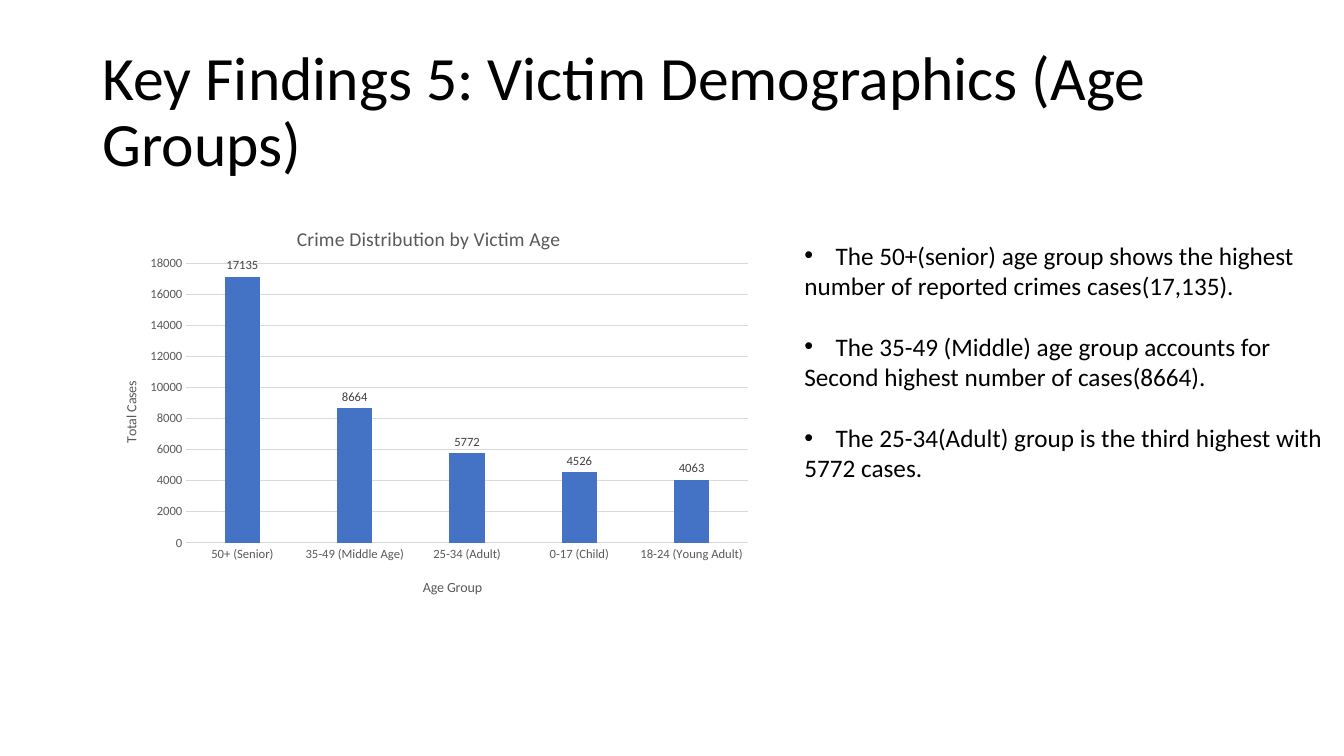
from dataclasses import dataclass, field

from lxml.etree import SubElement as add_sub
from pptx import Presentation
from pptx.chart.data import CategoryChartData as ChartData
from pptx.dml.color import RGBColor
from pptx.enum.chart import XL_CHART_TYPE as Kind
from pptx.enum.chart import XL_LABEL_POSITION as Spot
from pptx.enum.chart import XL_TICK_MARK as Tick
from pptx.enum.text import MSO_ANCHOR as Anchor
from pptx.oxml import parse_xml
from pptx.oxml.ns import nsdecls, qn
from pptx.util import Inches, Pt

BLACK = RGBColor(0x00, 0x00, 0x00)
BLUE = RGBColor(0x44, 0x72, 0xC4)
GRAY = RGBColor(0x59, 0x59, 0x59)
DARK = RGBColor(0x40, 0x40, 0x40)
PALE = RGBColor(0xD9, 0xD9, 0xD9)
FACE = "Calibri"


@dataclass
class Box:
    left: float
    top: float
    width: float
    height: float

    def rect(self) -> list:
        return [Inches(n) for n in (self.left, self.top, self.width, self.height)]


@dataclass
class Line:
    text: str
    size: float
    bullet: bool = False
    form: dict = field(default_factory=dict)


@dataclass
class Label:
    owner: object
    text: str
    size: float
    left: float
    top: float


def set_all(item: object, form: dict) -> None:
    for key, value in form.items():
        setattr(item, key, value)


def set_font(font: object, size: float, color: RGBColor) -> None:
    set_all(font, {"name": FACE, "size": Pt(size), "bold": False})
    font.color.rgb = color


def add_text(slide: object, box: Box, lines: list[Line], form: dict) -> None:
    frame = slide.shapes.add_textbox(*box.rect()).text_frame
    set_all(frame, form)
    for i, line in enumerate(lines):
        para = frame.add_paragraph() if i else frame.paragraphs[0]
        set_all(para, line.form)
        run = para.add_run()
        run.text = line.text
        set_font(run.font, line.size, BLACK)
        if line.bullet:
            props = para._p.get_or_add_pPr()
            hang = Inches(0.31)
            props.set("marL", str(hang))
            props.set("indent", str(-hang))
            add_sub(props, qn("a:buFont")).set("typeface", "Arial")
            add_sub(props, qn("a:buChar")).set("char", "•")


def make_layout(sizes: dict, inner: bool = False) -> object:
    target = '<c:layoutTarget val="inner"/>' if inner else ""
    modes = "".join(f'<c:{k}Mode val="edge"/>' for k in "xy")
    values = "".join(f'<c:{k} val="{v}"/>' for k, v in sizes.items())
    return parse_xml(
        f'<c:layout {nsdecls("c")}><c:manualLayout>{target}{modes}{values}'
        "</c:manualLayout></c:layout>"
    )


def add_label(label: Label) -> None:
    run = label.owner.text_frame.paragraphs[0].add_run()
    run.text = label.text
    set_font(run.font, label.size, GRAY)
    node = label.owner._element
    for old in node.findall(qn("c:layout")):
        node.remove(old)
    node.find(qn("c:tx")).addnext(make_layout({"x": label.left, "y": label.top}))


def add_bars(slide: object, box: Box, cases: dict[str, int]) -> None:
    data = ChartData()
    data.categories = list(cases)
    data.add_series("Total Cases", list(cases.values()))
    chart = slide.shapes.add_chart(Kind.COLUMN_CLUSTERED, *box.rect(), data).chart
    set_all(chart, {"has_legend": False, "has_title": True})
    set_font(chart.font, 10, BLACK)

    plot = chart.plots[0]
    set_all(plot, {"gap_width": 219, "overlap": -27, "vary_by_categories": False,
                   "has_data_labels": True})
    tags = plot.data_labels
    set_all(tags, {"show_value": True, "position": Spot.OUTSIDE_END})
    set_font(tags.font, 9, DARK)
    fill = plot.series[0].format.fill
    fill.solid()
    fill.fore_color.rgb = BLUE

    groups, totals = chart.category_axis, chart.value_axis
    for axis in (groups, totals):
        set_all(axis, {"major_tick_mark": Tick.NONE, "minor_tick_mark": Tick.NONE})
        set_font(axis.tick_labels.font, 9, GRAY)
    set_all(totals, {"minimum_scale": 0, "maximum_scale": 18000, "major_unit": 2000,
                     "has_major_gridlines": True})
    totals.format.line.fill.background()
    for part in (groups, totals.major_gridlines):
        part.format.line.color.rgb = PALE
        part.format.line.width = Pt(0.75)

    for label in (
        Label(chart.chart_title, "Crime Distribution by Victim Age", 14, 0.3, 0.05),
        Label(groups.axis_title, "Age Group", 10, 0.49, 0.91),
        Label(totals.axis_title, "Total Cases", 10, 0.04, 0.43),
    ):
        add_label(label)

    area = chart._chartSpace.chart.plotArea
    for old in area.findall(qn("c:layout")):
        area.remove(old)
    area.insert(0, make_layout({"x": 0.14, "y": 0.15, "w": 0.84, "h": 0.68}, True))


TITLE = "Key Findings 5: Victim Demographics (Age Groups)"
CASES = {
    "50+ (Senior)": 17135,
    "35-49 (Middle Age)": 8664,
    "25-34 (Adult)": 5772,
    "0-17 (Child)": 4526,
    "18-24 (Young Adult)": 4063,
}
POINTS = [
    ("The 50+(senior) age group shows the highest",
     "number of reported crimes cases(17,135)."),
    ("The 35-49 (Middle) age group accounts for",
     "Second highest number of cases(8664)."),
    ("The 25-34(Adult) group is the third highest with", "5772 cases."),
]


def main() -> None:
    deck = Presentation()
    set_all(deck, {"slide_width": Inches(13.33), "slide_height": Inches(7.5)})
    slide = deck.slides.add_slide(deck.slide_layouts[6])
    head = Line(TITLE, 44, form={"line_spacing": 0.9})
    add_text(slide, Box(0.92, 0.4, 11.5, 1.45), [head],
             {"word_wrap": True, "vertical_anchor": Anchor.MIDDLE})
    add_bars(slide, Box(0.92, 2, 6.63, 4.08), CASES)
    lines = []
    for i, (first, rest) in enumerate(POINTS):
        gap = {"space_before": Pt(22 if i else 0)}
        lines += [Line(first, 18, True, gap), Line(rest, 18)]
    add_text(slide, Box(7.88, 2.33, 5.46, 2.52), lines, {"word_wrap": False})
    deck.save("out.pptx")


if __name__ == "__main__":
    main()
